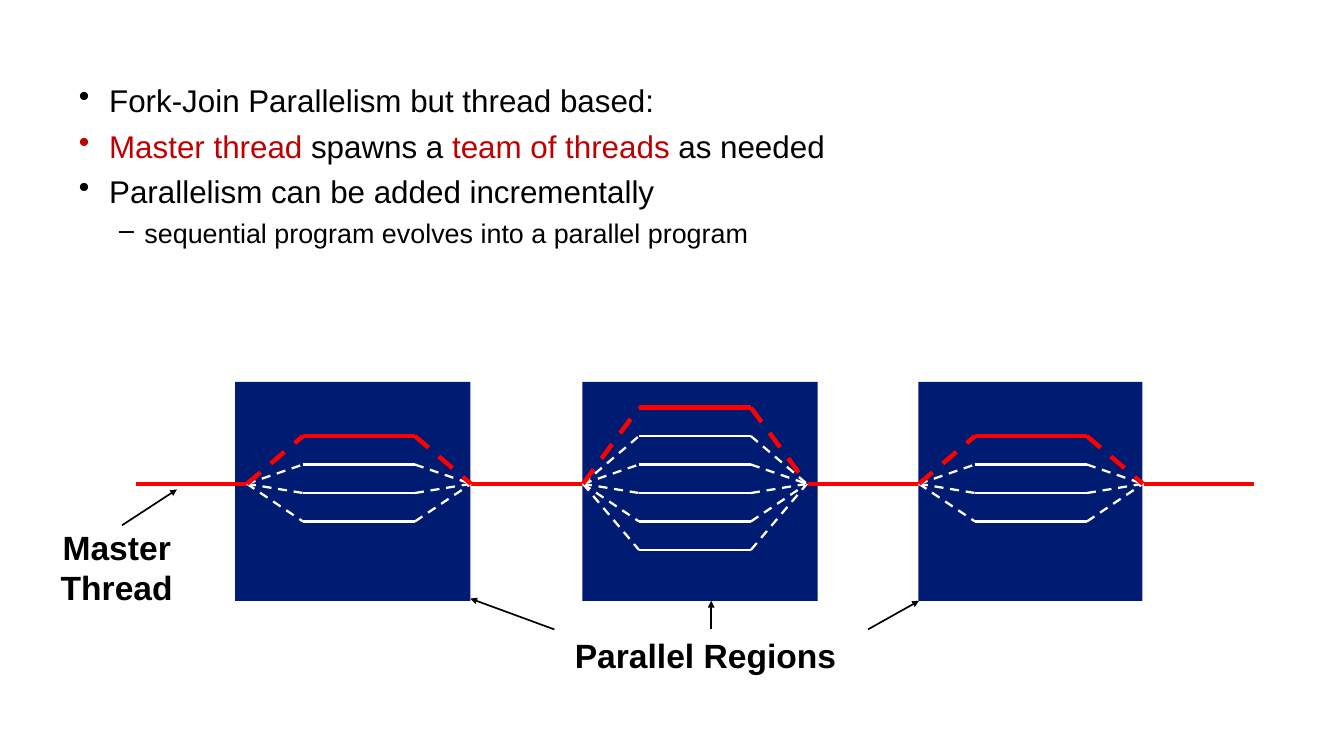
from pptx import Presentation
from pptx.dml.color import RGBColor
from pptx.enum.dml import MSO_LINE
from pptx.enum.shapes import MSO_CONNECTOR, MSO_SHAPE
from pptx.enum.text import PP_ALIGN
from pptx.oxml.ns import qn
from pptx.util import Pt
from lxml.etree import SubElement

COLORS = {"navy": "001B72", "red": "FF0000", "white": "FFFFFF",
          "black": "000000", "accent": "C00000"}
AXIS = 432          # height of the master thread
STEP = 300          # distance from one fork to the next
TRUNK = 121         # left end of the master thread
LANE_TOP, LANE_GAP = 364, 25.4
# left and width of each box, with its first and last lane
REGIONS = [(210, 210, 1, 4), (520, 210, 0, 5), (820, 200, 1, 4)]
BULLETS = [
    (0, [("Fork-Join Parallelism but thread based:", "black")]),
    (0, [("Master thread ", "accent"), ("spawns a ", "black"),
         ("team of threads ", "accent"), ("as needed", "black")]),
    (0, [("Parallelism can be added incrementally", "black")]),
    (1, [("sequential program evolves into a parallel program", "black")]),
]
# mark, left margin, hanging indent, size, space before
LEVELS = [("•", 27, 27, 28, 7), ("–", 58.5, 22.5, 24, 6)]
ARROWS = [(775, 562, 820.5, 536.5), (495, 562, 420, 534.5),
          (635, 562, 635, 536.5), (109, 469, 158, 437)]


def rgb(name):
    return RGBColor.from_string(COLORS[name])


def add_line(slide, start, end, color, width, dash=False, arrow=False):
    line = slide.shapes.add_connector(
        MSO_CONNECTOR.STRAIGHT, *[Pt(v) for v in (*start, *end)])
    line.line.color.rgb = rgb(color)
    line.line.width = Pt(width)
    if dash:
        line.line.dash_style = MSO_LINE.DASH
    props = line._element.spPr
    if arrow:
        SubElement(props.find(qn("a:ln")), qn("a:tailEnd"), type="triangle")
    SubElement(props, qn("a:effectLst"))


def add_box(slide, left, width):
    box = slide.shapes.add_shape(MSO_SHAPE.RECTANGLE, Pt(left), Pt(341),
                                 Pt(width), Pt(195.5))
    box.shadow.inherit = False
    box.fill.solid()
    box.fill.fore_color.rgb = rgb("navy")
    box.line.fill.background()


def add_team(slide, fork, first, last):
    """Draw the lanes from a fork to its join, the master lane on top."""
    for lane in range(last, first - 1, -1):
        color, width = ("red", 4) if lane == first else ("white", 2)
        y = LANE_TOP + lane * LANE_GAP
        left, right = (fork + 50, y), (fork + 150, y)
        add_line(slide, (fork, AXIS), left, color, width, dash=True)
        add_line(slide, left, right, color, width)
        add_line(slide, right, (fork + 200, AXIS), color, width, dash=True)


def add_text(slide, left, top, width, height):
    frame = slide.shapes.add_textbox(
        Pt(left), Pt(top), Pt(width), Pt(height)).text_frame
    frame.word_wrap = True
    frame.margin_left = frame.margin_right = Pt(10.5)
    frame.margin_top = frame.margin_bottom = Pt(5.25)
    return frame


def set_font(para, size, bold=False):
    para.font.name = "Arial"
    para.font.size = Pt(size)
    para.font.bold = bold


def add_label(slide, text, *place):
    para = add_text(slide, *place).paragraphs[0]
    para.text = text
    para.alignment = PP_ALIGN.CENTER
    set_font(para, 30, bold=True)
    para.font.color.rgb = rgb("black")


def add_list(slide):
    frame = add_text(slide, 60, 67.5, 1080, 457)
    for i, (level, parts) in enumerate(BULLETS):
        mark, left, hang, size, gap = LEVELS[level]
        para = frame.add_paragraph() if i else frame.paragraphs[0]
        para.level = level
        if i:
            para.space_before = Pt(gap)
        props = para._p.get_or_add_pPr()
        props.set("marL", str(Pt(left)))
        props.set("indent", str(-Pt(hang)))
        SubElement(props, qn("a:buChar"), char=mark)
        set_font(para, size)
        for text, color in parts:
            run = para.add_run()
            run.text = text
            run.font.color.rgb = rgb(color)


def main():
    deck = Presentation()
    deck.slide_width, deck.slide_height = Pt(1200), Pt(675)
    slide = deck.slides.add_slide(deck.slide_layouts[6])
    for left, width, _, _ in REGIONS:
        add_box(slide, left, width)
    for i in range(len(REGIONS) + 1):
        x = TRUNK + i * STEP
        add_line(slide, (x, AXIS), (x + 99, AXIS), "red", 4)
    for i, (_, _, first, last) in enumerate(REGIONS):
        add_team(slide, TRUNK + 99.5 + i * STEP, first, last)
    for x1, y1, x2, y2 in ARROWS:
        add_line(slide, (x1, y1), (x2, y2), "black", 1.5, arrow=True)
    add_list(slide)
    add_label(slide, "Parallel Regions", 375, 562, 510, 45)
    add_label(slide, "Master Thread", 25, 465, 158.5, 80)
    deck.save("out.pptx")


if __name__ == "__main__":
    main()
